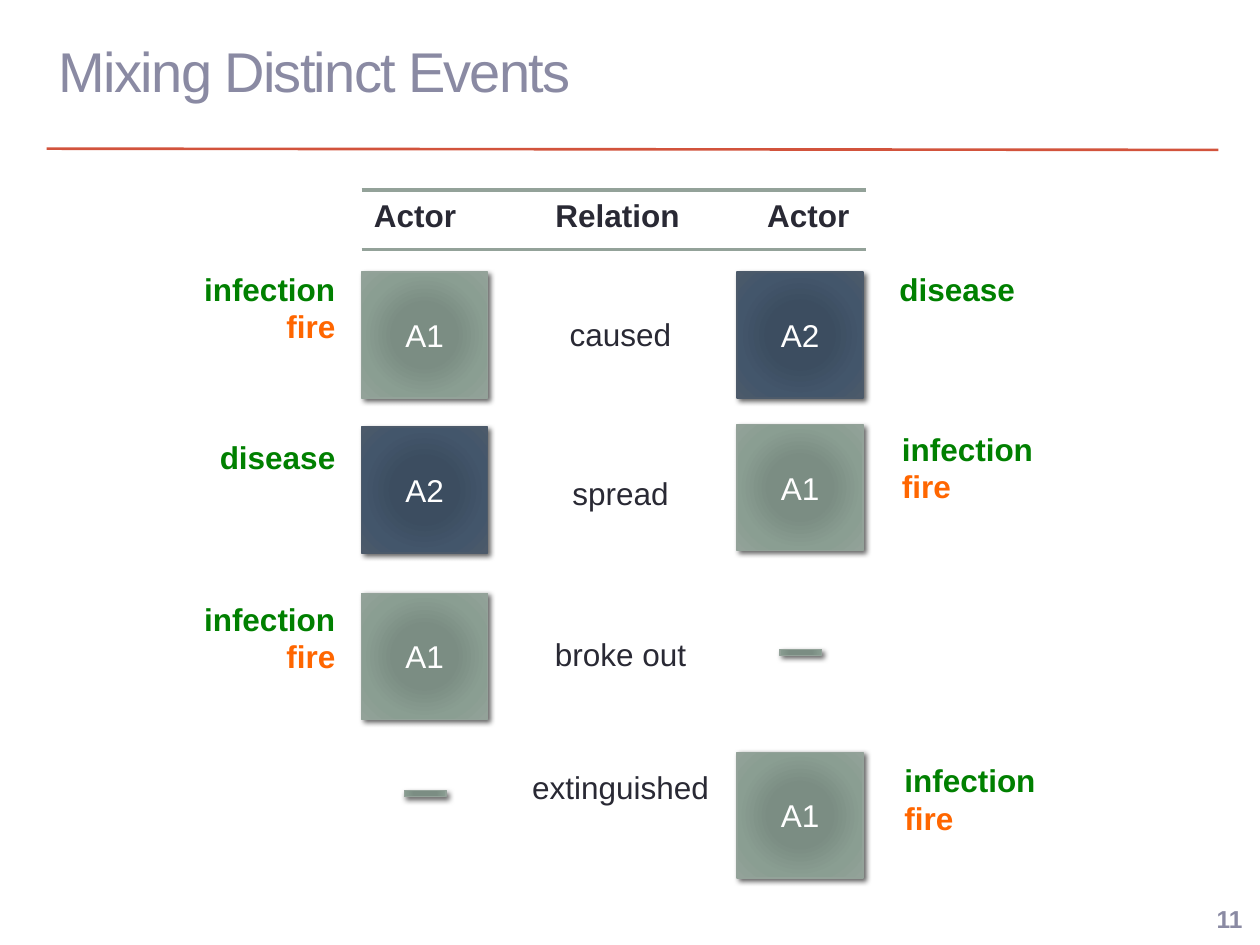
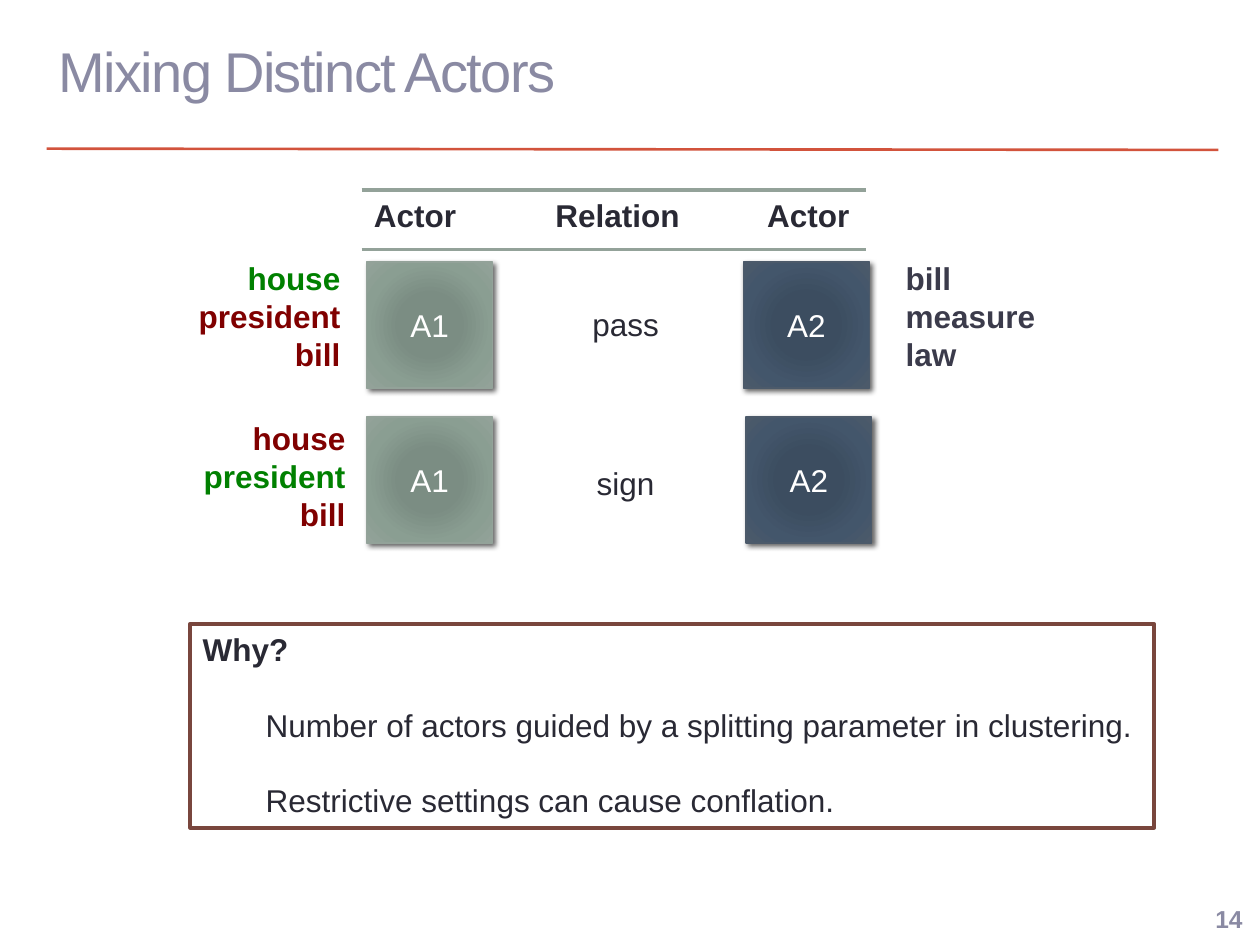
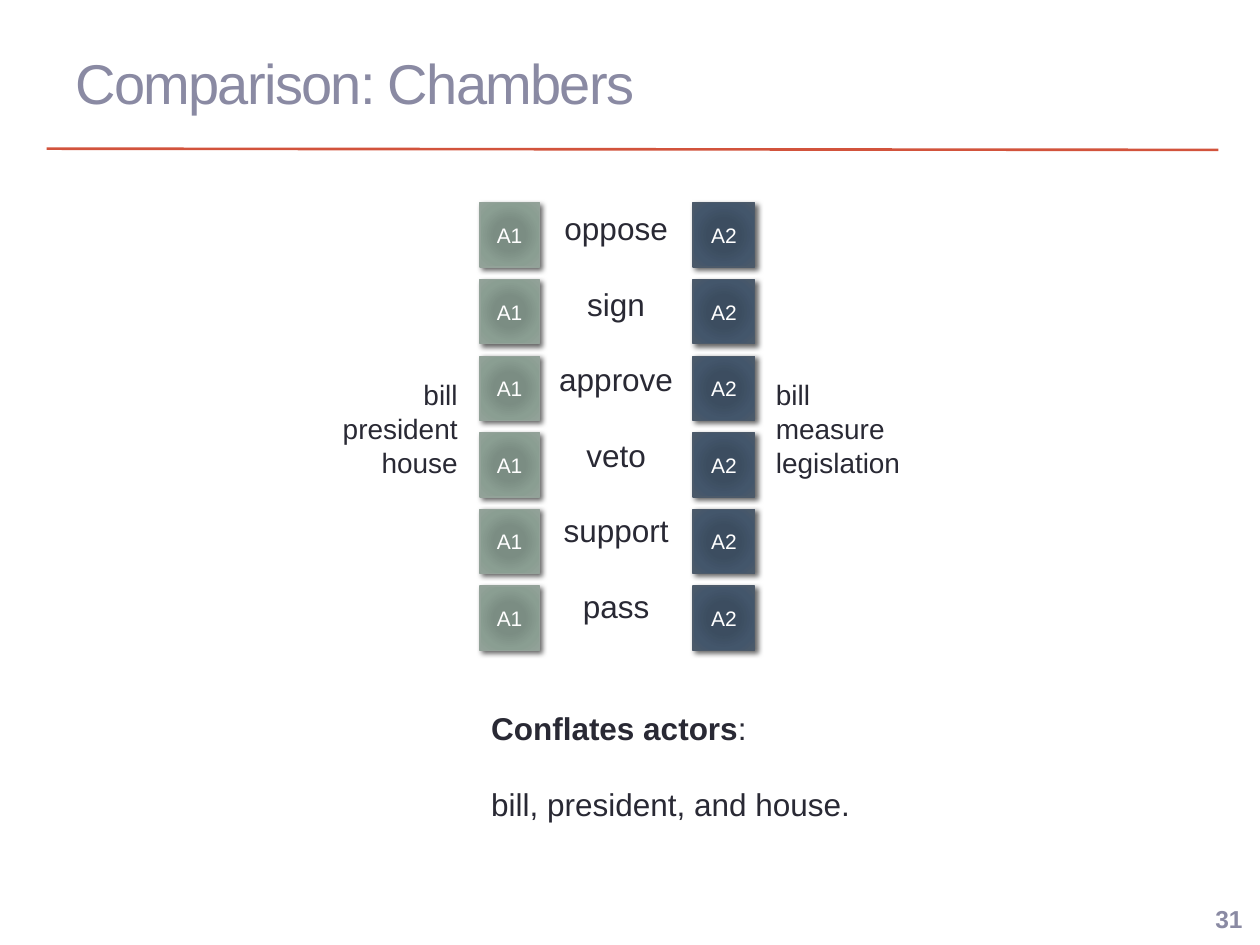
"""Build three slides about event actors and their relations."""
from dataclasses import dataclass

from pptx import Presentation
from pptx.dml.color import RGBColor
from pptx.enum.shapes import MSO_CONNECTOR, MSO_SHAPE
from pptx.enum.text import MSO_ANCHOR, PP_ALIGN
from pptx.oxml import parse_xml
from pptx.oxml.ns import nsdecls, qn
from pptx.util import Inches, Pt

LEFT, CENTER, RIGHT = PP_ALIGN.LEFT, PP_ALIGN.CENTER, PP_ALIGN.RIGHT
TOP, MIDDLE = MSO_ANCHOR.TOP, MSO_ANCHOR.MIDDLE
RECTANGLE, MINUS = MSO_SHAPE.RECTANGLE, MSO_SHAPE.MATH_MINUS
STRAIGHT = MSO_CONNECTOR.STRAIGHT

FONT = "Arial"
INK = RGBColor(0x29, 0x29, 0x34)
SLATE = RGBColor(0x3B, 0x3B, 0x4B)
LAVENDER = RGBColor(0x8A, 0x8A, 0xA3)
WHITE = RGBColor(0xFF, 0xFF, 0xFF)
RED = RGBColor(0xD2, 0x53, 0x3C)
BROWN = RGBColor(0x79, 0x46, 0x3D)
GREEN = RGBColor(0x00, 0x80, 0x00)
ORANGE = RGBColor(0xFF, 0x66, 0x00)
MAROON = RGBColor(0x80, 0x00, 0x00)
SAGE = RGBColor(0x93, 0xA2, 0x99)
NAVY = RGBColor(0x4C, 0x5A, 0x6A)

STOP_POSITIONS = (0, 34, 70, 100)
SAGE_STOPS = (RGBColor(0x7B, 0x8E, 0x82), RGBColor(0x7B, 0x8D, 0x83),
              RGBColor(0x8A, 0x9E, 0x92), SAGE)
NAVY_STOPS = (RGBColor(0x3B, 0x4D, 0x61), RGBColor(0x3C, 0x4D, 0x60),
              RGBColor(0x43, 0x56, 0x6B), NAVY)
ACTOR_STOPS = {"A1": SAGE_STOPS, "A2": NAVY_STOPS, "": SAGE_STOPS}

CELL = Inches(0.1)
LINE_GAP = Pt(21.6)
INDENT = Inches(0.5)


def cells(count):
    """Convert grid cells, 100 across and 75 down the slide, to a length."""
    return round(count * CELL)


@dataclass
class Box:
    """A rectangle measured in grid cells."""
    left: float
    top: float
    width: float
    height: float

    def inside(self, left, top, width, height):
        """Return a box placed relative to this one."""
        return Box(self.left + left, self.top + top, width, height)

    def lengths(self):
        """Return the position and size as lengths."""
        return [cells(n) for n in (self.left, self.top, self.width, self.height)]


@dataclass
class Actor:
    """One side of an event row: its name, words and small offsets in cells."""
    name: str
    words: tuple = ()
    words_top: float = 0
    words_shift: float = 0
    shift: float = 0
    drop: float = 0


@dataclass
class Event:
    """A row of the event table, with tops in cells below the table's top."""
    top: float
    relation: str
    relation_top: float
    left: Actor
    right: Actor


FIRE = (("infection", GREEN), ("fire", ORANGE))
DISEASE = (("disease", GREEN),)
PASSERS = (("house", GREEN), ("president", MAROON), ("bill", MAROON))
SIGNERS = (("house", MAROON), ("president", GREEN), ("bill", MAROON))
MEASURES = tuple((word, SLATE) for word in ("bill", "measure", "law"))

DISTINCT_EVENTS = (
    Event(6.5, "caused", 2.9, Actor("A1", FIRE, -0.7), Actor("A2", DISEASE, -0.7)),
    Event(18.7, "spread", 3.3, Actor("A2", DISEASE, 0.5, drop=0.1),
          Actor("A1", FIRE, -0.2, 0.2, drop=-0.1)),
    Event(32, "broke out", 2.8, Actor("A1", FIRE), Actor("", drop=0.7)),
    Event(44.6, "extinguished", 0.8, Actor("", drop=-0.7), Actor("A1", FIRE, 0.2, 0.4)),
)
DISTINCT_ACTORS = (
    Event(5.7, "pass", 2.9, Actor("A1", PASSERS, -0.7),
          Actor("A2", MEASURES, -0.7, 0.1, shift=0.1)),
    Event(18, "sign", 3.2, Actor("A1", SIGNERS, -0.3, 0.4), Actor("A2", shift=0.3)),
)
CHAMBER_RELATIONS = ("oppose", "sign", "approve", "veto", "support", "pass")

TABLE = Box(28.7, 15.1, 40, 54.6)
TITLE = Box(3.7, 0.2, 93, 10.8)


def format_run(run, size, color, bold):
    """Apply the shared font to a run."""
    run.font.name = FONT
    run.font.size = Pt(size)
    run.font.color.rgb = color
    run.font.bold = bold


def write(shape, lines, size=18, color=INK, bold=False, alignment=LEFT,
          anchor=TOP, wrap=True, gap=0):
    """Write lines of text with one style and return the paragraphs."""
    frame = shape.text_frame
    frame.text = "\n".join(lines)
    frame.word_wrap = wrap
    frame.vertical_anchor = anchor
    for index, paragraph in enumerate(frame.paragraphs):
        paragraph.alignment = alignment
        if index:
            paragraph.space_before = gap
        for run in paragraph.runs:
            format_run(run, size, color, bold)
    return frame.paragraphs


def add_text(slide, box, lines, **style):
    """Add a text box and return its paragraphs."""
    return write(slide.shapes.add_textbox(*box.lengths()), lines, **style)


def add_words(slide, box, words, alignment):
    """Add bold words, each in its own colour."""
    paragraphs = add_text(slide, box, [word for word, color in words],
                          bold=True, alignment=alignment)
    for paragraph, (word, color) in zip(paragraphs, words):
        paragraph.runs[0].font.color.rgb = color


def add_rule(slide, start, end, color, width):
    """Add a straight line between two grid points."""
    connector = slide.shapes.add_connector(
        STRAIGHT, *[cells(n) for n in (*start, *end)])
    connector.line.color.rgb = color
    connector.line.width = Pt(width)
    connector.element.spPr.append(parse_xml(f"<a:effectLst {nsdecls('a')}/>"))


def add_panel(slide, box, lines):
    """Add a white panel of spaced lines, without an outline."""
    panel = slide.shapes.add_shape(RECTANGLE, *box.lengths())
    panel.shadow.inherit = False
    panel.fill.solid()
    panel.fill.fore_color.rgb = WHITE
    panel.line.fill.background()
    paragraphs = write(panel, lines, gap=LINE_GAP)
    paragraphs[0].runs[0].font.bold = True
    return panel, paragraphs


def add_actor_shape(slide, box, name, size=18):
    """Add a shaded actor square, or a minus sign where the name is empty."""
    shape = slide.shapes.add_shape(RECTANGLE if name else MINUS, *box.lengths())
    stops = ACTOR_STOPS[name]
    shape.line.color.rgb = stops[-1]
    shape.line.width = Pt(0.75)
    shape.fill.gradient()
    properties = shape.element.spPr
    stop_list = "".join(
        f'<a:gs pos="{position * 1000}"><a:srgbClr val="{color}"/></a:gs>'
        for position, color in zip(STOP_POSITIONS, stops))
    properties.replace(properties.find(qn("a:gradFill")), parse_xml(
        f'<a:gradFill {nsdecls("a")} rotWithShape="1"><a:gsLst>{stop_list}</a:gsLst>'
        '<a:path path="circle"><a:fillToRect l="100000" t="100000" '
        'r="100000" b="100000"/></a:path></a:gradFill>'))
    shape.shadow.inherit = False
    properties.find(qn("a:effectLst")).append(parse_xml(
        f'<a:outerShdw {nsdecls("a")} blurRad="{Pt(3)}" dist="{Pt(2)}" dir="2700000" '
        'rotWithShape="0"><a:srgbClr val="000000"><a:alpha val="60000"/>'
        '</a:srgbClr></a:outerShdw>'))
    if name:
        write(shape, [name], size=size, color=WHITE, alignment=CENTER, anchor=MIDDLE)


def add_base(presentation, title, number, title_box=TITLE):
    """Add a slide with the shared title, rule and page number."""
    slide = presentation.slides.add_slide(presentation.slide_layouts[6])
    add_rule(slide, (3.7, 11.8), (96.7, 11.9), RED, 1.5)
    paragraphs = add_text(slide, title_box, [title], size=32, color=LAVENDER, anchor=MIDDLE)
    paragraphs[0].runs[0].font._element.set("spc", "-100")
    add_text(slide, Box(93.7, 71.1, 5.9, 3.6), [number], size=14, color=LAVENDER,
             bold=True, alignment=RIGHT, anchor=MIDDLE)
    return slide


def add_table_header(slide, box):
    """Add the column names between two rules."""
    for top in (0, 4.7):
        add_rule(slide, (box.left, box.top + top),
                 (box.left + box.width, box.top + top), SAGE, 2.08)
    for name, left, width in (("Actor", 0, 8.6), ("Relation", 14.4, 12), ("Actor", 31.2, 8.6)):
        add_text(slide, box.inside(left, 0, width, 4), [name], bold=True, wrap=False)


def add_side(slide, box, actor, words_left, alignment):
    """Add one actor square, or minus sign, and the words beside it."""
    square = box.inside(actor.shift, actor.drop, 10, 10)
    if not actor.name:
        square = square.inside(2.8, 3, 4.5, 2)
    add_actor_shape(slide, square, actor.name)
    if actor.words:
        words_box = box.inside(words_left + actor.words_shift, actor.words_top,
                               13.3, 1 + 3.05 * len(actor.words))
        add_words(slide, words_box, actor.words, alignment)


def add_event_rows(slide, box, events):
    """Add rows of actor, relation and actor."""
    for event in events:
        row = box.inside(0, event.top, box.width, 10)
        add_side(slide, row, event.left, -14.4, RIGHT)
        add_side(slide, row.inside(29.8, 0, 10, 10), event.right, 11.9, LEFT)
        add_text(slide, row.inside(11.9, event.relation_top, 17.3, 4),
                 [event.relation], alignment=CENTER)


def add_why_panel(slide, box):
    """Add the outlined explanation with indented reasons."""
    panel, paragraphs = add_panel(slide, box, [
        "Why?",
        "Number of actors guided by a splitting parameter in clustering.",
        "Restrictive settings can cause conflation."])
    panel.line.color.rgb = BROWN
    panel.line.width = Pt(2.08)
    for paragraph in paragraphs[1:]:
        paragraph._p.get_or_add_pPr().set("marL", str(INDENT))


def add_chamber_grid(slide, box):
    """Add the relations between two columns of actors, with words outside."""
    add_text(slide, box.inside(3.6, 0, 14.4, 37.4), CHAMBER_RELATIONS,
             alignment=CENTER, gap=LINE_GAP)
    pitch = box.height / len(CHAMBER_RELATIONS)
    for row in range(len(CHAMBER_RELATIONS)):
        for name, left, width in (("A1", 0, 4.7), ("A2", 16.9, 4.9)):
            add_actor_shape(slide, box.inside(left, row * pitch, width, 5.1), name, size=12)
    for words, left, alignment in ((("bill", "president", "house"), -13, RIGHT),
                                   (("bill", "measure", "legislation"), 22.5, LEFT)):
        add_text(slide, box.inside(left, 13.4, 12.2, 9.1), words, size=16, alignment=alignment)


def add_conflation_note(slide, box):
    """Add the note on conflated actors."""
    paragraphs = add_panel(slide, box, ["Conflates actors", "bill, president, and house."])[1]
    colon = paragraphs[0].add_run()
    colon.text = ":"
    format_run(colon, 18, INK, False)


def main():
    """Build and save the presentation."""
    presentation = Presentation()
    presentation.slide_width = cells(100)
    presentation.slide_height = cells(75)

    slide = add_base(presentation, "Mixing Distinct Events", "11")
    add_table_header(slide, TABLE)
    add_event_rows(slide, TABLE, DISTINCT_EVENTS)

    slide = add_base(presentation, "Mixing Distinct Actors", "14")
    add_why_panel(slide, Box(15.1, 49.5, 76.5, 16.2))
    add_table_header(slide, TABLE)
    add_event_rows(slide, TABLE.inside(0.4, 0, 40, 54.6), DISTINCT_ACTORS)

    slide = add_base(presentation, "Comparison: Chambers", "31", Box(5, 1.1, 90, 10.8))
    add_chamber_grid(slide, Box(38.1, 16.1, 21.8, 36.5))
    add_conflation_note(slide, Box(38, 55.8, 47.6, 12.4))

    presentation.save("out.pptx")


if __name__ == "__main__":
    main()
